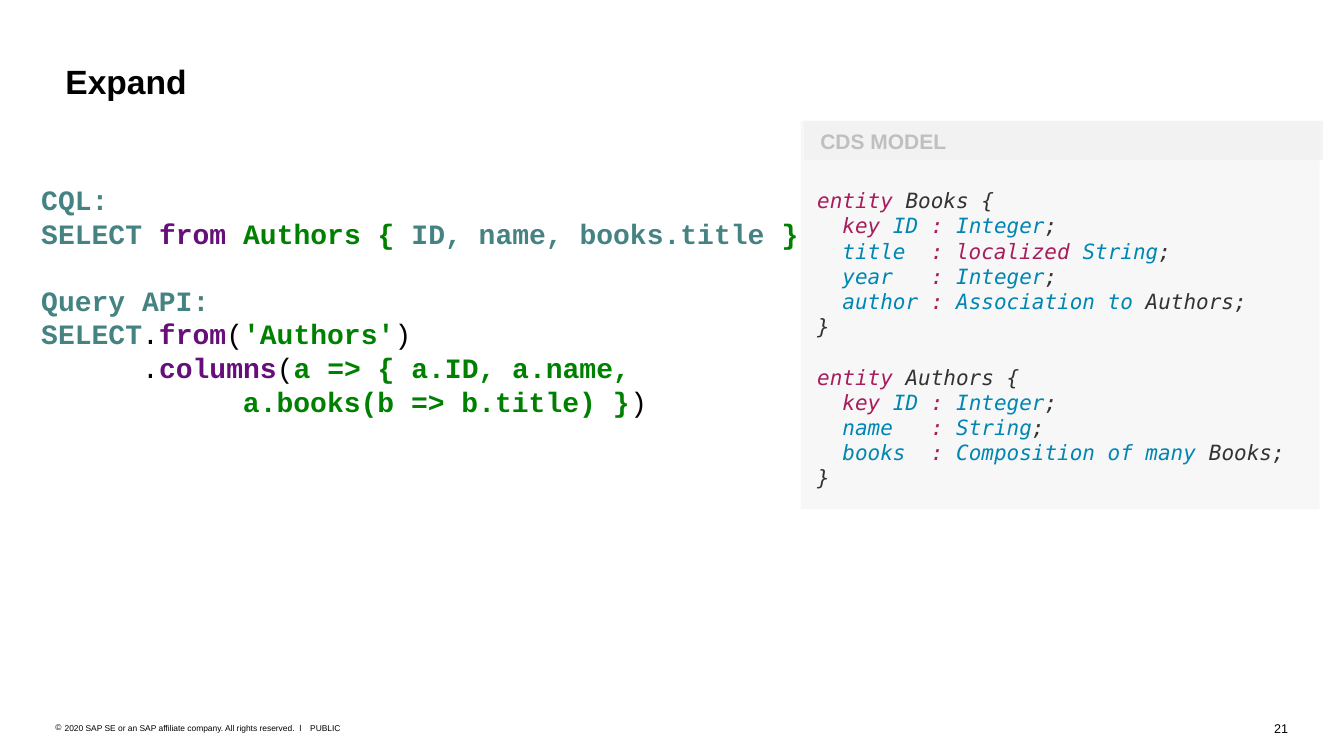
from lxml.etree import SubElement
from pptx import Presentation
from pptx.dml.color import RGBColor
from pptx.enum.shapes import MSO_SHAPE as SHAPE
from pptx.enum.text import MSO_ANCHOR as ANCHOR, PP_ALIGN as ALIGN
from pptx.oxml.ns import qn
from pptx.util import Cm, Pt

COLORS = {
    "black": "000000", "teal": "458383", "purple": "660E7A", "green": "008000",
    "header": "D9D9D9", "panel": "F2F2F2", "gray": "808080",
    "pink": "A71D5D", "blue": "0086B3", "dark": "333333",
}

deck = Presentation()
deck.slide_width, deck.slide_height = Cm(33.88), Cm(19.05)
slide = deck.slides.add_slide(deck.slide_layouts[6])


def write(lines, box, size, font="Arial", bold=False, italic=False, fill=None, opacity=100,
          insets=(0, 0, 0, 0), anchor=ANCHOR.TOP, align=ALIGN.LEFT, spacing=None, gaps=()):
    place = [Cm(v) for v in box]
    if fill:
        shape = slide.shapes.add_shape(SHAPE.RECTANGLE, *place)
        shape.shadow.inherit = False
        shape.line.fill.background()
        shape.fill.solid()
        shape.fill.fore_color.rgb = RGBColor.from_string(COLORS[fill])
        tint = shape.fill._xPr.find(qn("a:solidFill"))[0]
        SubElement(tint, qn("a:alpha"), val=str(opacity * 1000))
    else:
        shape = slide.shapes.add_textbox(*place)
    frame = shape.text_frame
    frame.word_wrap = True
    frame.vertical_anchor = anchor
    frame.margin_left, frame.margin_top, frame.margin_right, frame.margin_bottom = map(Cm, insets)
    for number, runs in enumerate(lines):
        paragraph = frame.add_paragraph() if number else frame.paragraphs[0]
        paragraph.alignment = align
        if spacing:
            paragraph.line_spacing = Pt(spacing)
        if number in gaps:
            paragraph.space_before = Pt(spacing)
        for text, color in runs:
            run = paragraph.add_run()
            run.text = text
            run.font.name, run.font.size = font, Pt(size)
            run.font.bold = bold and color != "black" or bold == "all"
            run.font.italic = italic
            run.font.color.rgb = RGBColor.from_string(COLORS[color])
    return frame


write([[("21", "black")]], (31.2, 18.16, 1.27, 0.38), 9, align=ALIGN.RIGHT)
write([[("PUBLIC", "black")]], (7.82, 18.21, 1.2, 0.25), 6)
rights = write([[("2020 SAP SE or an SAP affiliate company. All rights reserved.  ǀ", "black")]],
               (1.4, 18.21, 6.3, 0.25), 6)
bullet = rights.paragraphs[0]._p.get_or_add_pPr()
bullet.set("marL", str(Cm(0.23)))
bullet.set("indent", str(Cm(-0.23)))
SubElement(SubElement(bullet, qn("a:buClr")), qn("a:srgbClr"), val=COLORS["black"])
SubElement(bullet, qn("a:buFont"), typeface="Arial")
SubElement(bullet, qn("a:buChar"), char="©")

write([[("Expand", "black")]], (1.4, 1.4, 31.06, 2.31), 24, bold="all",
      insets=(0.25, 0.13, 0.25, 0.13))

write([[("CDS MODEL", "gray")]], (20.27, 3.05, 13.08, 0.99), 15, bold=True,
      fill="header", opacity=28, insets=(0.41, 0, 0, 0), anchor=ANCHOR.MIDDLE)

queries = [
    [("CQL:", "teal")],
    [("SELECT ", "teal"), ("from ", "purple"), ("Authors { ", "green"),
     ("ID, name, books.title ", "teal"), ("}", "green")],
    [("Query API:", "teal")],
    [("SELECT", "teal"), (".", "black"), ("from", "purple"), ("(", "black"),
     ("'Authors'", "green"), (")", "black")],
    [("      .", "black"), ("columns", "purple"), ("(", "black"),
     ("a => { a.ID, a.name,", "green")],
    [("            a.books(b => b.title) }", "green"), (")", "black")],
]
write(queries, (0.79, 4.47, 20.04, 6.25), 20, "Courier New", bold=True,
      insets=(0.25, 0.13, 0.25, 0.13), spacing=24, gaps=(2,))


def field(name, kind, end=";", key="", modifier=""):
    return [("  ", "blue"), (key, "pink"), (name, "blue"), (": " + modifier, "pink"),
            (kind, "blue"), (end, "dark")]


model = [
    [("entity", "pink"), (" Books {", "dark")],
    field("ID ", "Integer", key="key "),
    field("title  ", "String", modifier="localized "),
    field("year   ", "Integer"),
    field("author ", "Association to", " Authors;"),
    [("}", "dark")],
    [("entity", "pink"), (" Authors {", "dark")],
    field("ID ", "Integer", key="key "),
    field("name   ", "String"),
    field("books  ", "Composition of many", " Books;"),
    [("}", "dark")],
]
write(model, (20.19, 3.05, 13.08, 9.78), 15, "DejaVu Sans Mono", italic=True,
      fill="panel", opacity=56, insets=(0.41, 1.68, 0.41, 0.41), spacing=18, gaps=(6,))

deck.save("out.pptx")
